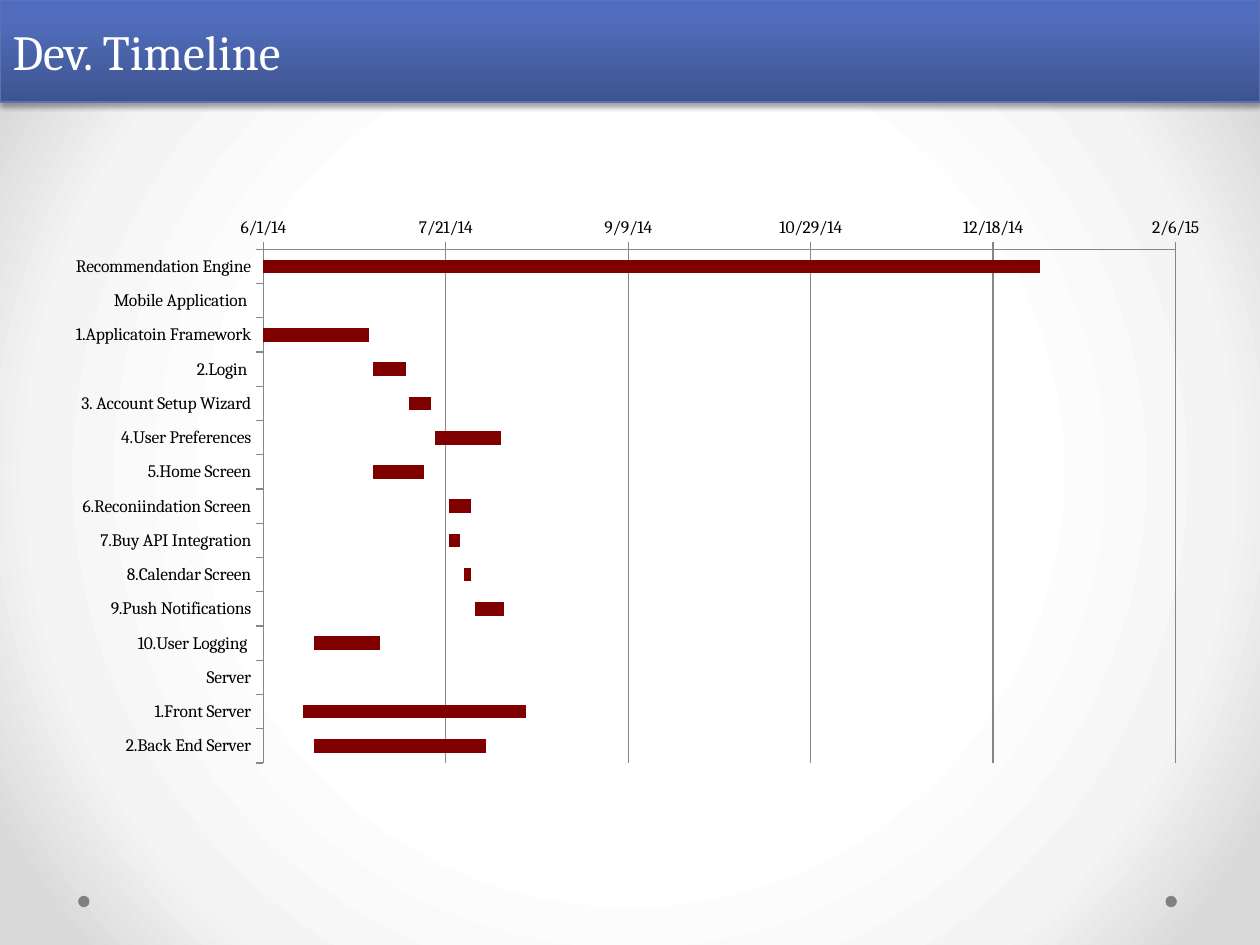
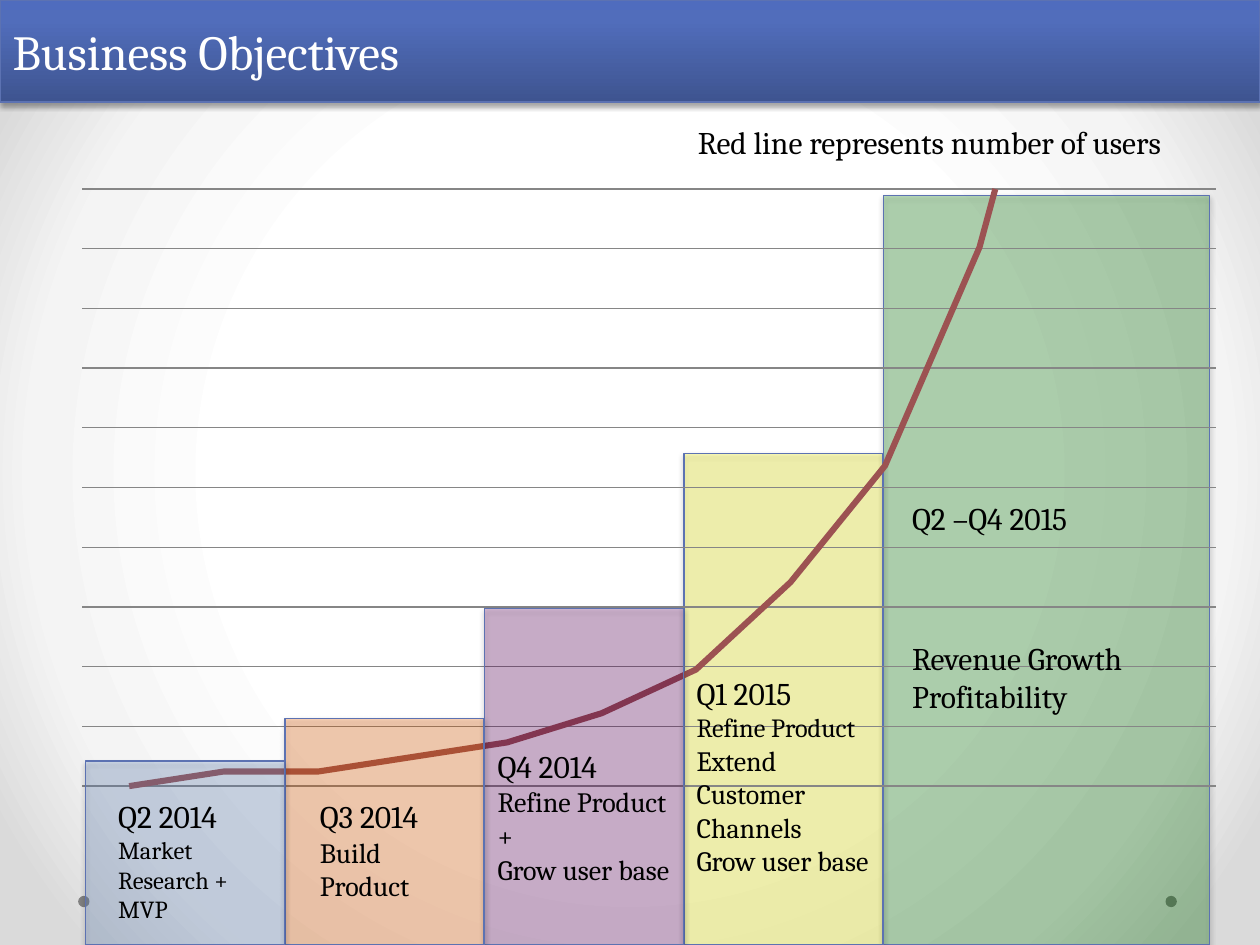
"""Build a development timeline slide and a business objectives slide."""
from lxml.etree import SubElement
from pptx import Presentation
from pptx.chart.data import CategoryChartData as Data
from pptx.dml.color import RGBColor
from pptx.enum.chart import XL_CHART_TYPE as Kind, XL_TICK_MARK as Tick
from pptx.enum.shapes import MSO_SHAPE as Form
from pptx.enum.text import MSO_ANCHOR as Anchor, MSO_AUTO_SIZE as Auto, PP_ALIGN as Align
from pptx.oxml import parse_xml
from pptx.oxml.ns import nsdecls, qn
from pptx.util import Inches, Pt

FACE, BLACK, WHITE, GRAY, EDGE = "Cambria", "000000", "FFFFFF", "808080", "5C72B2"
BAND = [(0, "3E5490"), (80, "516DBB"), (100, "4F6CBE")]
GLOW = [(50, "FFFFFF"), (76, "F4F4F4"), (92, "DADADA")]
RADIAL = '<a:path path="circle"><a:fillToRect l="50000" t="50000" r="50000" b="50000"/></a:path>'
UPWARD = '<a:lin ang="16200000" scaled="0"/>'


def hue(code):
    """Turn a hex string into a colour."""
    return RGBColor.from_string(code)


def blend(holder, stops, way):
    """Swap the solid fill of a property element for a gradient."""
    marks = "".join(f'<a:gs pos="{pos * 1000}"><a:srgbClr val="{code}"/></a:gs>' for pos, code in stops)
    solid = holder.find(qn("a:solidFill"))
    holder.replace(solid, parse_xml(
        f'<a:gradFill {nsdecls("a")} rotWithShape="1"><a:gsLst>{marks}</a:gsLst>{way}</a:gradFill>'))


deck = Presentation()
deck.slide_width, deck.slide_height = Inches(10), Inches(7.5)
master = deck.slide_master
master.background.fill.solid()
blend(master.element.cSld.bg.bgPr, GLOW, RADIAL)

pages, boxes = [], []
for name in ["Dev. Timeline", "Business Objectives"]:
    page = deck.slides.add_slide(deck.slide_layouts[5])
    pages.append(page)
    title = page.shapes.title
    title.left, title.top, title.width, title.height = Inches(0), Inches(0), Inches(10), Inches(0.81)
    title.text = name
    title.fill.solid()
    blend(title.element.spPr, BAND, UPWARD)
    boxes.append(title)
    frame = title.text_frame
    frame.vertical_anchor, frame.auto_size = Anchor.MIDDLE, Auto.NONE
    line = frame.paragraphs[0]
    line.alignment = Align.LEFT
    line.font.name, line.font.size, line.font.color.rgb = FACE, Pt(28), hue(WHITE)
plan, goals = pages

for left in [9.25, 0.62]:
    dot = plan.shapes.add_shape(Form.OVAL, Inches(left), Inches(7.11), Inches(0.09), Inches(0.09))
    dot.shadow.inherit = False
    dot.fill.solid()
    dot.fill.fore_color.rgb = hue(GRAY)
    dot.line.fill.background()
    master.element.cSld.spTree.append(dot.element)

tasks = [
    ("Recommendation Engine", 41791, 213),
    ("Mobile Application ", None, None),
    ("1.Applicatoin Framework", 41791, 29),
    ("2.Login ", 41821, 9),
    ("3. Account Setup Wizard", 41831, 6),
    ("4.User Preferences", 41838, 18),
    ("5.Home Screen", 41821, 14),
    ("6.Reconiindation Screen", 41842, 6),
    ("7.Buy API Integration", 41842, 3),
    ("8.Calendar Screen", 41846, 2),
    ("9.Push Notifications", 41849, 8),
    ("10.User Logging ", 41805, 18),
    ("Server", None, None),
    ("1.Front Server", 41802, 61),
    ("2.Back End Server", 41805, 47),
]
names, starts, spans = zip(*tasks)
dates = Data()
dates.categories = names
dates.add_series("Series 1", starts)
dates.add_series("Series 2", spans)
users = Data()
users.categories = ["1", "2", "3", "4"]
users.add_series("Series 1", [0, 1, 1, 2, 3, 5, 8, 14, 22, 37, 61, 100])

setups = [
    dict(page=plan, kind=Kind.BAR_STACKED, data=dates, at=(0.19, 1.44, 9.43, 4.62), size=10,
         plot=(1.9, 0.54, 7.24, 4.08), scale=dict(minimum_scale=41791, maximum_scale=42041, major_unit=50)),
    dict(page=goals, kind=Kind.LINE, data=users, at=(0, 0.81, 9.91, 6.24), size=18,
         plot=(0.65, 0.69, 9, 4.74), scale=dict(minimum_scale=0, maximum_scale=41, major_unit=4.1)),
]
charts = []
for item in setups:
    chart = item["page"].shapes.add_chart(item["kind"], *map(Inches, item["at"]), item["data"]).chart
    charts.append(chart)
    chart.has_title = chart.has_legend = False
    chart.font.name, chart.font.size, chart.font.color.rgb = FACE, Pt(item["size"]), hue(BLACK)
    chart.plots[0].vary_by_categories = False
    scale = chart.value_axis
    for key, value in item["scale"].items():
        setattr(scale, key, value)
    scale.has_major_gridlines = True
    for rule in [scale.major_gridlines.format.line, scale.format.line, chart.category_axis.format.line]:
        rule.color.rgb, rule.width = hue("868686"), Pt(0.75)
    for axis in [scale, chart.category_axis]:
        axis.major_tick_mark, axis.minor_tick_mark = Tick.OUTSIDE, Tick.NONE
    zone = chart.element.find(".//" + qn("c:plotArea"))
    for old in zone.findall(qn("c:layout")):
        zone.remove(old)
    shares = [part / whole for part, whole in zip(item["plot"], item["at"][2:] * 2)]
    parts = [("layoutTarget", "inner"), ("xMode", "edge"), ("yMode", "edge"), *zip("xywh", shares)]
    marks = "".join(f'<c:{key} val="{value}"/>' for key, value in parts)
    zone.insert(0, parse_xml(
        f'<c:layout {nsdecls("c")}><c:manualLayout>{marks}</c:manualLayout></c:layout>'))

gantt, curve = charts
gantt.category_axis.reverse_order = True
labels = gantt.value_axis.tick_labels
labels.number_format, labels.number_format_is_linked = "m/d/yy", False
bars = gantt.plots[0]
bars.gap_width, bars.overlap = 150, 100
bars.series[0].format.fill.background()
bars.series[1].format.fill.solid()
bars.series[1].format.fill.fore_color.rgb = hue("800000")

curve.value_axis.visible = curve.category_axis.visible = False
trend = curve.plots[0].series[0]
trend.smooth = False
trend.format.line.color.rgb, trend.format.line.width = hue("9C5252"), Pt(3.5)

steps = [(6.04, 1.58, "7097D3"), (5.7, 1.58, "FF6600"), (4.83, 1.58, "660066"),
         (3.6, 1.58, "FFFF00"), (1.55, 2.59, "008000")]
pitch = (7.01 - 0.68) / 4
tree = goals.shapes.element
for rank, (top, width, code) in reversed(list(enumerate(steps))):
    step = goals.shapes.add_shape(Form.RECTANGLE, Inches(0.68 + pitch * rank), Inches(top),
                                  Inches(width), Inches(7.5 - top))
    step.fill.solid()
    step.fill.fore_color.rgb = hue(code)
    tint = step.element.spPr.find(qn("a:solidFill"))[0]
    SubElement(tint, qn("a:alpha"), val="26000")
    boxes.append(step)
    if rank == 3:
        tree.append(tree.find(qn("p:graphicFrame")))

for box in boxes:
    box.line.color.rgb, box.line.width = hue(EDGE), Pt(0.75)
    box.shadow.inherit = False
    glow = box.element.spPr.find(qn("a:effectLst"))
    glow.append(parse_xml(
        f'<a:outerShdw {nsdecls("a")} blurRad="{Pt(3.1)}" dist="{Pt(1.8)}" dir="5400000" rotWithShape="0">'
        '<a:srgbClr val="000000"><a:alpha val="35000"/></a:srgbClr></a:outerShdw>'))

notes = [
    ((0.84, 6.28, 1.3, 1.11), [("Q2 2014", 18), ("Market Research + MVP", 14)]),
    ((2.44, 6.28, 1.3, 1.21), [("Q3 2014", 18), ("Build Product", 16)]),
    ((3.85, 5.88, 1.58, 1.78), [("Q4 2014", 18), ("Refine Product +", 16), ("Grow user base", 16)]),
    ((7.14, 3.91, 2.46, 0.4), [("Q2 –Q4 2015", 18)]),
    ((5.43, 5.3, 1.58, 2), [("Q1 2015", 18), ("Refine Product", 15),
                            ("Extend Customer Channels", 16), ("Grow user base", 16)]),
    ((5.44, 0.93, 4.56, 0.4), [("Red line represents number of users", 18)]),
    ((7.14, 5.02, 2.1, 1.01), [("Revenue Growth", 18), ("Profitability", 18)]),
]
for area, lines in notes:
    frame = goals.shapes.add_textbox(*map(Inches, area)).text_frame
    frame.word_wrap = True
    frame.text = "\n".join(text for text, size in lines)
    for line, (text, size) in zip(frame.paragraphs, lines):
        line.font.name, line.font.size, line.font.color.rgb = FACE, Pt(size), hue(BLACK)

deck.save("out.pptx")
